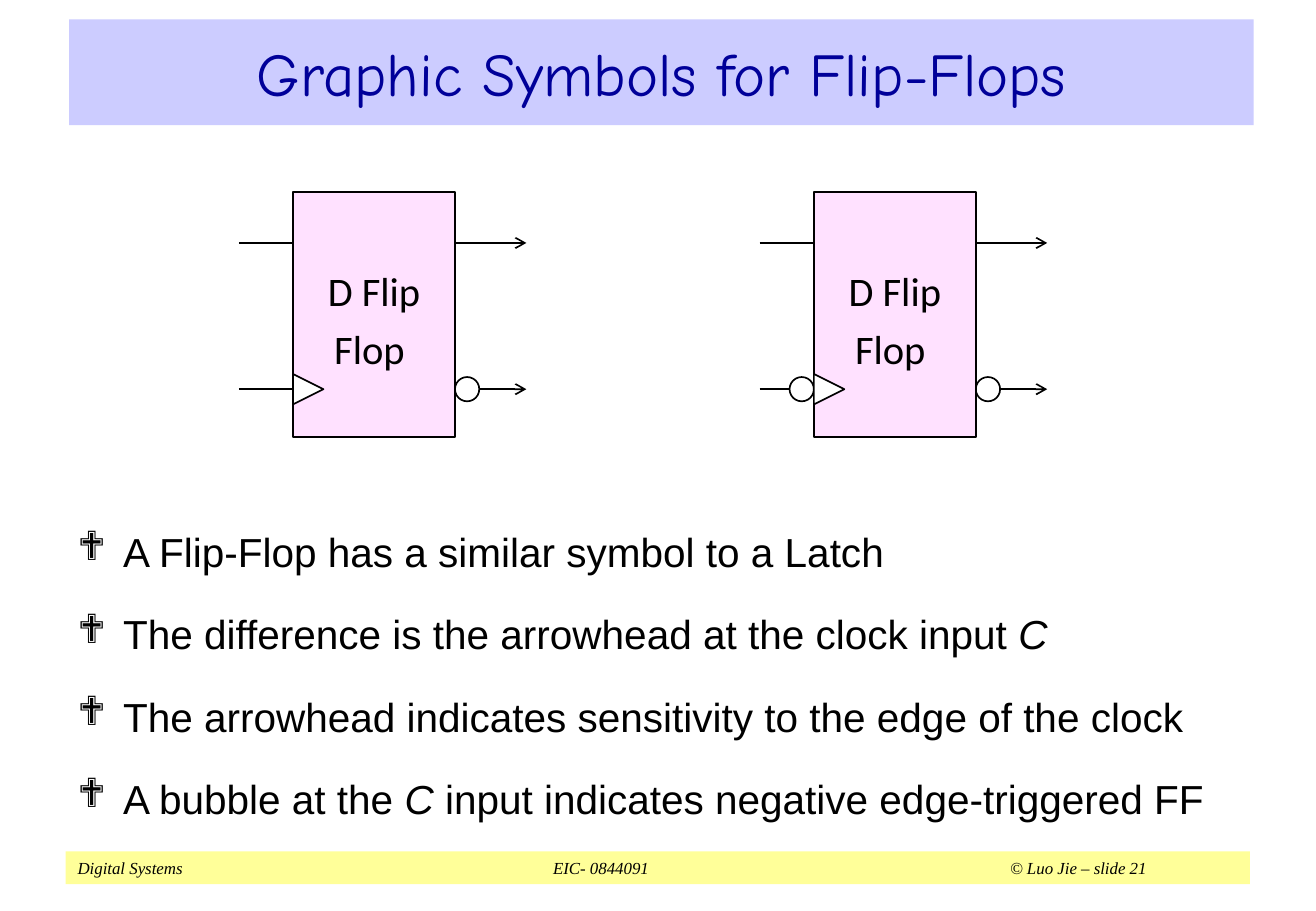
from dataclasses import dataclass
from lxml import etree
from pptx import Presentation, util as u
from pptx.dml.color import RGBColor
from pptx.enum import shapes as sh, text as tx
from pptx.oxml.ns import qn

TITLE = "Graphic Symbols for Flip-Flops"
POINTS = [
    [("A Flip-Flop has a similar symbol to a Latch", False)],
    [("The difference is the arrowhead at the clock input ", False), ("C", True)],
    [("The arrowhead indicates sensitivity to the edge of the clock", False)],
    [("A bubble at the ", False), ("C", True),
     (" input indicates negative edge-triggered FF", False)],
]
LABEL = ["D Flip", "Flop "]
FOOT = ["Digital Systems", "\tEIC- 0844091", "\t© Luo Jie – slide 21"]
TABS = [("ctr", 51.7), ("r", 105.6)]
FLIPS = [{"left": 28.95, "bubble": False}, {"left": 80.4, "bubble": True}]

COLS, ROWS = 130, 90
WIDE = 117
HEAD = (6.84, 1.92, WIDE, 10.44)
BODY = (6.48, 51.48, WIDE, 33.12)
BASE = (6.48, 84.12, WIDE, 3.24)
BOX_TOP, BOX_W, BOX_H = 19, 16, 24.2
DATA_ROW, CLOCK_ROW = 24, 38.45
LEAD_IN, LEAD_OUT = 5.35, 23.05
DOT, WEDGE = 2.4, 3
HANG = 4.5


@dataclass(frozen=True)
class Theme:
    ink: str = "000000"
    paper: str = "FFFFFF"
    navy: str = "000099"
    band: str = "CCCCFF"
    pink: str = "FFE1FF"
    straw: str = "FFFF99"
    head: tuple = ("Comic Neue", 36)
    body: tuple = ("Arial", 24)
    label: tuple = ("Calibri", 24)
    foot: tuple = ("Times New Roman", 10)
    line: float = 1
    gap: float = 20


T = Theme()
deck = Presentation()
deck.slide_width, deck.slide_height = u.Inches(10.83), u.Inches(7.5)
slide = deck.slides.add_slide(deck.slide_layouts[6])


def col(n):
    return u.Emu(round(deck.slide_width * n / COLS))


def row(n):
    return u.Emu(round(deck.slide_height * n / ROWS))


def place(x, y, w, h):
    return col(x), row(y), col(w), row(h)


def rgb(code):
    return RGBColor.from_string(code)


def write(para, text, face, color=T.ink, slant=False):
    run = para.add_run()
    run.text = text
    font = run.font
    font.name, size = face
    font.size, font.italic = u.Pt(size), slant
    font.color.rgb = rgb(color)


def paras(frame, count):
    return [frame.paragraphs[0]] + [frame.add_paragraph() for _ in range(count - 1)]


def draw(home, kind, area, fill, edge=True):
    part = home.add_shape(kind, *place(*area))
    part.shadow.inherit = False
    part.fill.solid()
    part.fill.fore_color.rgb = rgb(fill)
    if edge:
        part.line.color.rgb = rgb(T.ink)
        part.line.width = u.Pt(T.line)
    else:
        part.line.fill.background()
    part.text_frame.word_wrap = True
    return part


def wire(home, start, end, y):
    link = home.add_connector(sh.MSO_CONNECTOR.STRAIGHT,
                              col(start), row(y), col(end), row(y))
    link.line.color.rgb = rgb(T.ink)
    link.line.width = u.Pt(T.line)
    etree.SubElement(link.line._get_or_add_ln(), qn("a:tailEnd"), type="arrow")
    etree.SubElement(link._element.spPr, qn("a:effectLst"))


def flip(left, bubble):
    home = slide.shapes.add_group_shape().shapes
    for y in (DATA_ROW, CLOCK_ROW):
        wire(home, left - LEAD_IN, left + LEAD_OUT, y)
    dots = [left + BOX_W] + ([left - DOT] if bubble else [])
    for x in dots:
        draw(home, sh.MSO_SHAPE.OVAL, (x, CLOCK_ROW - DOT / 2, DOT, DOT), T.paper)
    box = draw(home, sh.MSO_SHAPE.RECTANGLE, (left, BOX_TOP, BOX_W, BOX_H), T.pink)
    frame = box.text_frame
    frame.vertical_anchor = tx.MSO_ANCHOR.MIDDLE
    for para, word in zip(paras(frame, len(LABEL)), LABEL):
        para.alignment = tx.PP_ALIGN.CENTER
        para.line_spacing = 1.2
        write(para, word, T.label)
    wedge = draw(home, sh.MSO_SHAPE.ISOSCELES_TRIANGLE,
                 (left, CLOCK_ROW - WEDGE / 2, WEDGE, WEDGE), T.paper)
    wedge.rotation = 90


base = draw(slide.shapes, sh.MSO_SHAPE.RECTANGLE, BASE, T.straw, edge=False)
base.text_frame.vertical_anchor = tx.MSO_ANCHOR.TOP
para = base.text_frame.paragraphs[0]
para.alignment = tx.PP_ALIGN.LEFT
stops = etree.SubElement(para._p.get_or_add_pPr(), qn("a:tabLst"))
for side, x in TABS:
    etree.SubElement(stops, qn("a:tab"), pos=str(int(col(x))), algn=side)
for word in FOOT:
    write(para, word, T.foot, slant=True)

head = draw(slide.shapes, sh.MSO_SHAPE.RECTANGLE, HEAD, T.band, edge=False)
head.text_frame.vertical_anchor = tx.MSO_ANCHOR.MIDDLE
para = head.text_frame.paragraphs[0]
para.alignment = tx.PP_ALIGN.CENTER
write(para, TITLE, T.head, T.navy)

body = slide.shapes.add_textbox(*place(*BODY)).text_frame
body.word_wrap = True
for i, (para, runs) in enumerate(zip(paras(body, len(POINTS)), POINTS)):
    props = para._p.get_or_add_pPr()
    props.set("marL", str(int(col(HANG))))
    props.set("indent", str(-int(col(HANG))))
    etree.SubElement(props, qn("a:buFont"), typeface="Wingdings")
    etree.SubElement(props, qn("a:buChar"), char="❖")
    if i:
        para.space_before = u.Pt(T.gap)
    for word, slant in runs:
        write(para, word, T.body, slant=slant)

for item in FLIPS:
    flip(**item)

deck.save("out.pptx")
